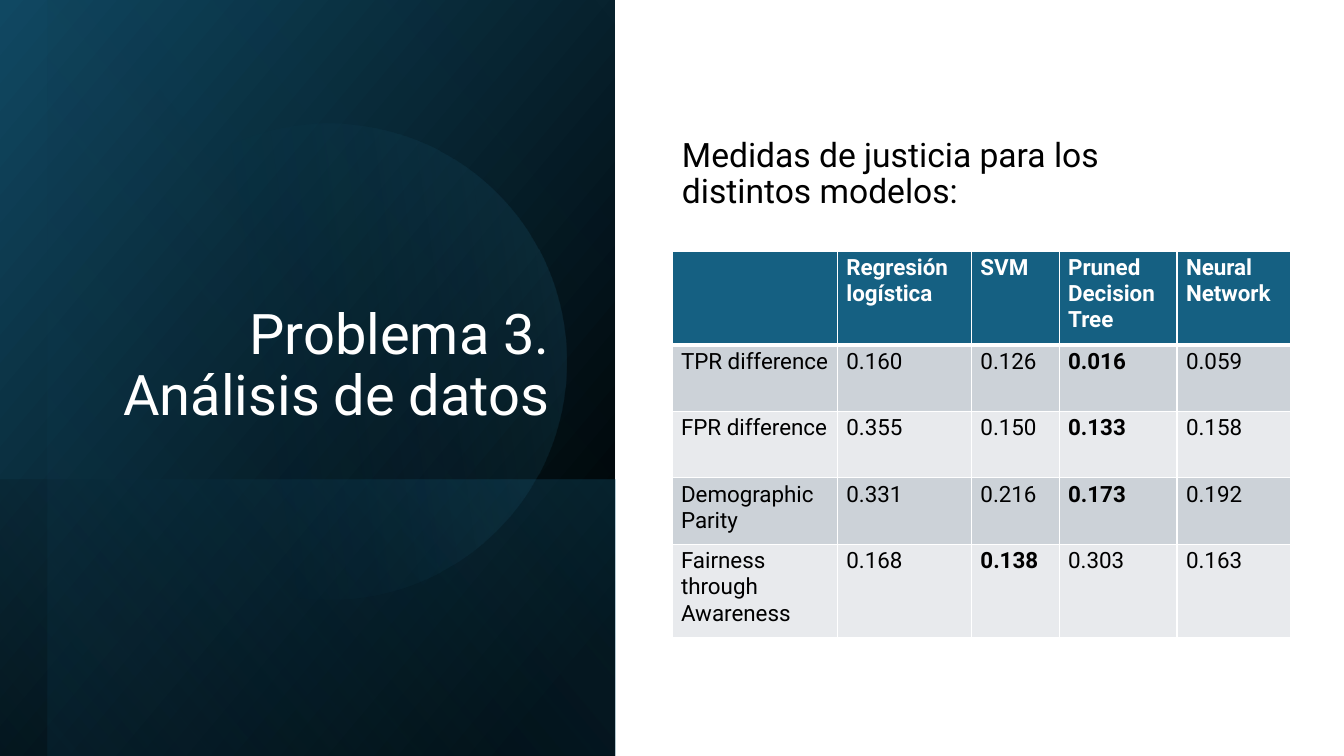
from pptx import Presentation
from pptx.dml.color import RGBColor
from pptx.enum.shapes import MSO_SHAPE as Shape
from pptx.enum.text import MSO_ANCHOR as Anchor, MSO_AUTO_SIZE as AutoSize, PP_ALIGN as Align
from pptx.oxml import parse_xml
from pptx.oxml.ns import nsdecls
from pptx.util import Inches, Pt

W, H = 13.33, 7.5
FONT = "Roboto"
WHITE, BLACK, TEAL = "FFFFFF", "000000", "156082"
BANDS = ("CCD2D8", "E8EAED")

TITLE = "Problema 3. Análisis de datos"
INTRO = "Medidas de justicia para los distintos modelos:"
MODELS = ["", "Regresión logística", "SVM", "Pruned Decision Tree", "Neural Network"]
MEASURES = [
    ("TPR difference", "0.160", "0.126", "0.016", "0.059"),
    ("FPR difference", "0.355", "0.150", "0.133", "0.158"),
    ("Demographic Parity", "0.331", "0.216", "0.173", "0.192"),
    ("Fairness through Awareness", "0.168", "0.138", "0.303", "0.163"),
]
COLS = (1.64, 1.33, 0.87, 1.17, 1.13)
ROWS = (0.93, 0.66, 0.66, 0.66, 0.93)

PANEL = 6.1
RIGHT = W / 2
# shape, centre x, centre y, width, height, rotation, gradient angle, stops (position, colour, alpha)
PANELS = [
    (Shape.RECTANGLE, PANEL / 2, H / 2, H, PANEL, 90, 50,
     [(8, BLACK, 100), (100, "104862", 100)]),
    (Shape.RECTANGLE, PANEL / 2, H - 1.37, 2.74, PANEL, 90, 130,
     [(2, TEAL, 29), (100, BLACK, 30)]),
    (Shape.RECTANGLE, PANEL - 2.81, H / 2, H, 5.63, 90, 130,
     [(0, BLACK, 0), (99, TEAL, 11)]),
    (Shape.OVAL, 3.26, 3.59, 4.72, 4.72, 101.6, 290,
     [(39, TEAL, 0), (100, "46B1E1", 15)]),
]


def rgb(color):
    """Turn a hex string into a colour."""
    return RGBColor.from_string(color)


def write(tf, text, size, color, bold=False, spacing=None, align=None):
    """Write one formatted paragraph into a text frame."""
    tf.word_wrap = True
    p = tf.paragraphs[0]
    p.text = text
    p.font.name, p.font.size, p.font.bold = FONT, Pt(size), bold
    p.font.color.rgb = rgb(color)
    p.line_spacing, p.alignment = spacing, align


def add_panel(s, kind, cx, cy, w, h, rotation, angle, stops):
    """Add a mirrored, rotated shape with a gradient, behind the title."""
    sp = s.shapes.add_shape(kind, *map(Inches, (cx - w / 2, cy - h / 2, w, h)))
    sp.rotation = rotation
    sp.shadow.inherit = False
    sp.line.fill.background()
    spPr = sp.element.spPr
    spPr.find("{*}xfrm").set("flipH", "1")
    gs = "".join(
        f'<a:gs pos="{pos * 1000}"><a:srgbClr val="{color}"><a:alpha val="{alpha * 1000}"/></a:srgbClr></a:gs>'
        for pos, color, alpha in stops)
    spPr.find("{*}prstGeom").addnext(parse_xml(
        f'<a:gradFill {nsdecls("a")} rotWithShape="1"><a:gsLst>{gs}</a:gsLst>'
        f'<a:lin ang="{angle * 60000}" scaled="0"/></a:gradFill>'))
    s.shapes.title.element.addprevious(sp.element)


def style_cell(cell, text, fill, color, bold, top, bottom):
    """Fill a cell and give it white borders."""
    tcPr = cell._tc.get_or_add_tcPr()
    for side, width in (("L", 1), ("R", 1), ("T", top), ("B", bottom)):
        tcPr.append(parse_xml(
            f'<a:ln{side} {nsdecls("a")} w="{Pt(width)}"><a:solidFill>'
            f'<a:srgbClr val="{WHITE}"/></a:solidFill></a:ln{side}>'))
    cell.fill.solid()
    cell.fill.fore_color.rgb = rgb(fill)
    cell.margin_left = cell.margin_right = Inches(0.09)
    cell.margin_top = cell.margin_bottom = Inches(0.04)
    write(cell.text_frame, text, 16, color, bold)


def add_measures(s):
    """Add the table, with the lowest value of each row in bold."""
    frame = s.shapes.add_table(
        len(ROWS), len(COLS), *map(Inches, (RIGHT, H / 3 - 0.01, sum(COLS), sum(ROWS))))
    table = frame.table
    for col, width in zip(table.columns, COLS):
        col.width = Inches(width)
    for row, height in zip(table.rows, ROWS):
        row.height = Inches(height)
    for j, model in enumerate(MODELS):
        style_cell(table.cell(0, j), model, TEAL, WHITE, True, 1, 3)
    for i, measure in enumerate(MEASURES):
        best = min(measure[1:])
        for j, text in enumerate(measure):
            style_cell(table.cell(i + 1, j), text, BANDS[i % 2], BLACK,
                       text == best, 1 if i else 3, 1)


def main():
    """Build the slide."""
    prs = Presentation()
    prs.slide_width, prs.slide_height = Inches(W), Inches(H)
    s = prs.slides.add_slide(prs.slide_layouts[5])

    title = s.shapes.title
    title.left, title.top, title.width, title.height = map(Inches, (0.72, 0.98, 4.83, 3.31))
    tf = title.text_frame
    tf.auto_size, tf.vertical_anchor = AutoSize.NONE, Anchor.BOTTOM
    write(tf, TITLE, 40, WHITE, spacing=0.9, align=Align.RIGHT)

    for panel in PANELS:
        add_panel(s, *panel)

    intro = s.shapes.add_textbox(*map(Inches, (RIGHT, 1.32, 4.51, 0.88)))
    write(intro.text_frame, INTRO, 24, BLACK, spacing=0.9)
    add_measures(s)
    prs.save("out.pptx")


if __name__ == "__main__":
    main()
